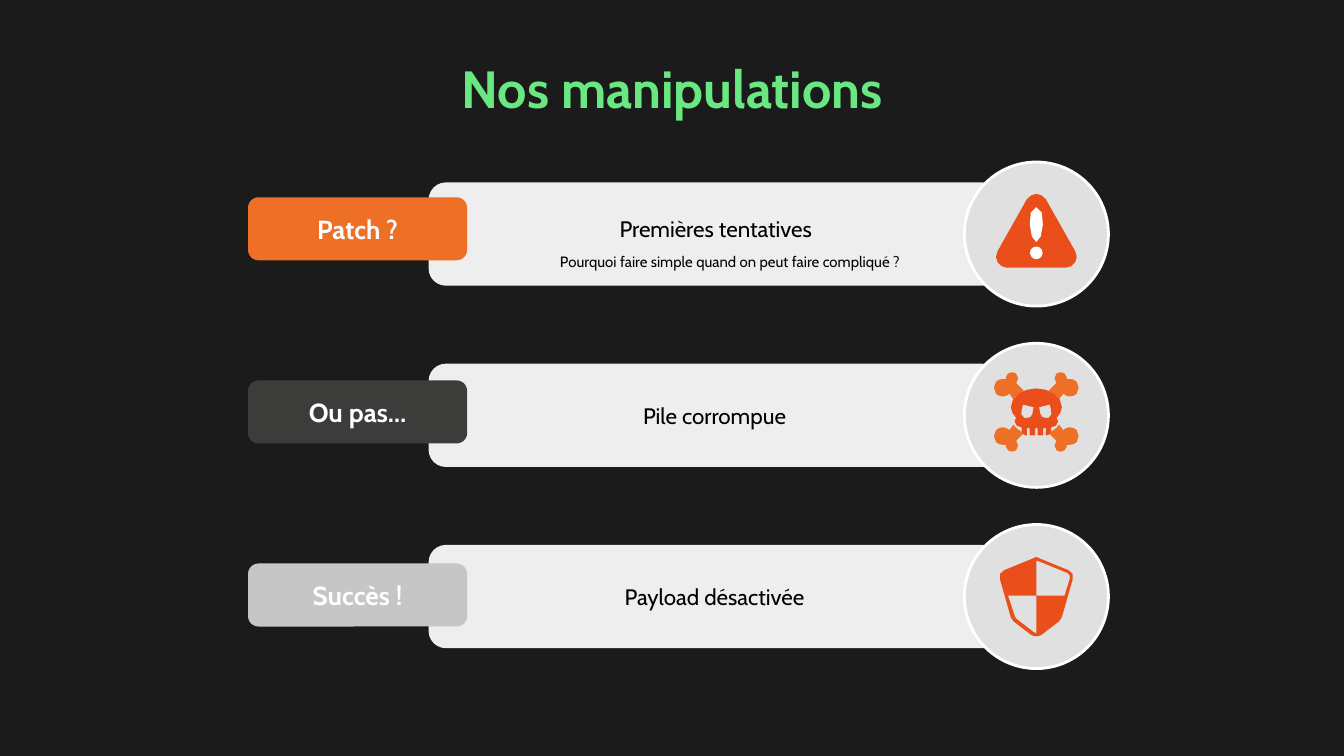
from math import dist

from pptx import Presentation
from pptx.dml.color import RGBColor
from pptx.enum.shapes import MSO_SHAPE
from pptx.enum.text import MSO_ANCHOR, PP_ALIGN
from pptx.util import Pt

COLOURS = {
    "background": "1B1B1B", "title": "69E781", "bar": "EEEEEE",
    "disc": "E0E0E0", "white": "FFFFFF", "black": "000000",
    "red": "E94E1B", "orange": "EE7026", "dark": "3C3C3B", "grey": "C6C6C6",
}
ICON_UNIT = 0.72  # points per unit of the icon outlines
DISC_X = 555.2

# Icon outlines around the disc centre; a "half" is the right side, top to bottom
WARNING_HALF = "M 0 -30 C 3 -30 5 -28 7 -26 L 29 13 C 32 18 28 25 22 25"
EXCLAMATION_HALF = "M 0 -20 C 8 -20 5 6 0 6"
SKULL_HALF = """M 0 -20 C 10 -20 19 -14 19 -6 C 19 -3 17 0 15 2
    C 16 3 16 4 16 5 C 16 7 14 9 11 9 L 11 11 C 11 13 10 15 8 15
    L 7 15 L 7 10 L 6 9 L 5 10 L 5 15 L 1 15 L 1 10 L 0 9"""
EYE = """M 10 -8 L 11 -4 C 12 -2 11 1 9 2 L 7 2
    C 5 2 3 1 3 -1 L 2 -6"""
BONE = """M 18 -29.5 C 16.8 -29.5 15.8 -29 15 -28.5 C 13 -26.5 13 -23.5 15 -21.5
    L 9 -15.5 C 12 -14.5 15 -12.5 17 -9.5 L 20 -13.5 C 22 -12 23 -11.5 25 -11.5
    C 27 -11.5 28 -12 30 -13.5 C 32 -16.5 32 -20 30 -22.5
    C 28 -24 27 -24.5 25 -24.5 L 22.8 -24.5 C 22.8 -26 22 -27.5 21 -28.5
    C 20 -29.2 19 -29.5 18 -29.5"""
SHIELD_HALF = """M 0 -30 L 2 -29 L 24 -20 C 27 -19 28 -16 27 -13
    L 19 15 L 17 18 L 4 28 C 3 29 1 29 0 29"""
SHIELD_TOP_FIELD = "M 0 -27 L 1 -27 L 23 -18 C 25 -17 25 -16 25 -14 L 21 -1 L 0 -1"
SHIELD_LOW_FIELD = "M 0 -1 L 0 27 L -2 26 L -15 16 L -16 14 L -21 -1"


def trace(outline):
    """Turn an outline of M, L and C commands into points, more on longer curves."""
    points, tokens = [], iter(outline.split())
    for command in tokens:
        count = 3 if command == "C" else 1
        ends = [(float(next(tokens)), float(next(tokens))) for _ in range(count)]
        if command != "C":
            points += ends
            continue
        corners = [points[-1]] + ends
        span = dist(corners[0], corners[-1])
        steps = 1 if span < 3 else 2 if span < 10 else 4
        for step in range(1, steps + 1):
            t = step / steps
            weights = ((1 - t) ** 3, 3 * t * (1 - t) ** 2, 3 * t * t * (1 - t), t ** 3)
            points.append(tuple(sum(w * c[axis] for w, c in zip(weights, corners))
                                for axis in (0, 1)))
    return points


def flip(points, x_sign, y_sign=1):
    return [(x * x_sign, y * y_sign) for x, y in points]


def symmetric(half):
    right = trace(half)
    left = [point for point in flip(right, -1) if point[0]]
    return right + left[::-1]


class SlideBuilder:
    font = "Cabin"

    def __init__(self, slide):
        self.slide = slide
        self.shapes = slide.shapes

    def colour(self, name):
        return RGBColor.from_string(COLOURS[name])

    def background(self, name):
        self.slide.background.fill.solid()
        self.slide.background.fill.fore_color.rgb = self.colour(name)

    def paint(self, shape, fill, line=None):
        shape.shadow.inherit = False
        shape.fill.solid()
        shape.fill.fore_color.rgb = self.colour(fill)
        if line:
            shape.line.color.rgb = self.colour(line)
            shape.line.width = Pt(1.5)
        else:
            shape.line.fill.background()

    def rounded(self, left, middle, width, height, fill):
        box = self.shapes.add_shape(MSO_SHAPE.ROUNDED_RECTANGLE, Pt(left),
                                    Pt(middle - height / 2), Pt(width), Pt(height))
        box.adjustments[0] = 0.167
        self.paint(box, fill)

    def circle(self, x, y, radius, fill, line=None):
        disc = self.shapes.add_shape(MSO_SHAPE.OVAL, Pt(x - radius), Pt(y - radius),
                                     Pt(2 * radius), Pt(2 * radius))
        self.paint(disc, fill, line)

    def icon(self, x, y, contours, fill):
        placed = [[(Pt(x + px * ICON_UNIT), Pt(y + py * ICON_UNIT)) for px, py in contour]
                  for contour in contours]
        builder = self.shapes.build_freeform(*placed[0][0])
        for index, contour in enumerate(placed):
            if index:
                builder.move_to(*contour[0])
            builder.add_line_segments(contour[1:], close=True)
        self.paint(builder.convert_to_shape(), fill)

    def text(self, words, left, middle, width, height, *, size, colour="black",
             bold=False, side_inset=14.4, anchor=MSO_ANCHOR.MIDDLE):
        box = self.shapes.add_textbox(Pt(left), Pt(middle - height / 2),
                                      Pt(width), Pt(height))
        frame = box.text_frame
        frame.word_wrap = True
        frame.vertical_anchor = anchor
        frame.margin_left = frame.margin_right = Pt(side_inset)
        frame.margin_top = frame.margin_bottom = Pt(7.2)
        paragraph = frame.paragraphs[0]
        paragraph.alignment = PP_ALIGN.CENTER
        run = paragraph.add_run()
        run.text = words
        run.font.name = self.font
        run.font.size = Pt(size)
        run.font.bold = bold
        run.font.color.rgb = self.colour(colour)


def draw_warning(page, y):
    page.icon(DISC_X, y, [symmetric(WARNING_HALF)], "red")
    page.circle(DISC_X, y + 10.1, 3.4, "white")
    page.icon(DISC_X, y, [symmetric(EXCLAMATION_HALF)], "white")


def draw_skull(page, y):
    for x_sign in (1, -1):
        for y_sign in (1, -1):
            page.icon(DISC_X, y - 1.8, [flip(trace(BONE), x_sign, y_sign)], "orange")
    eyes = [flip(trace(EYE), sign) for sign in (1, -1)]
    page.icon(DISC_X, y, [symmetric(SKULL_HALF)] + eyes, "red")


def draw_shield(page, y):
    fields = [trace(SHIELD_TOP_FIELD), trace(SHIELD_LOW_FIELD)]
    page.icon(DISC_X, y + 0.3, [symmetric(SHIELD_HALF)] + fields, "red")


def main():
    deck = Presentation()
    deck.slide_width, deck.slide_height = Pt(720), Pt(405)
    page = SlideBuilder(deck.slides.add_slide(deck.slide_layouts[6]))
    page.background("background")

    # Title
    page.text("Nos manipulations", 36, 45.7, 648, 45.4, size=28, colour="title",
              bold=True, side_inset=7.2, anchor=MSO_ANCHOR.TOP)

    # Rows: label, label colour, statement, its left and offset, icon
    rows = [
        ("Patch ?", "orange", "Premières tentatives", 259.3, -2.9, draw_warning),
        ("Ou pas…", "dark", "Pile corrompue", 258.6, 0.1, draw_skull),
        ("Succès !", "grey", "Payload désactivée", 258.6, 0.1, draw_shield),
    ]
    for index, (label, label_fill, statement, left, offset, draw_icon) in enumerate(rows):
        row_y = 125.4 + 97.1 * index
        label_y = 122.6 + 98.1 * index
        page.rounded(229.6, row_y, 306, 55.3, "bar")
        page.circle(DISC_X, row_y, 38.6, "disc", line="white")
        draw_icon(page, row_y)
        page.text(statement, left, row_y + offset, 248.4, 39.6, size=12)
        page.rounded(132.9, label_y, 117.4, 33.8, label_fill)
        page.text(label, 138, label_y, 107.2, 33.8, size=14, colour="white", bold=True)

    # Remark under the first statement
    page.text("Pourquoi faire simple quand on peut faire compliqué ?",
              267, 140, 248.4, 39.6, size=8)

    deck.save("out.pptx")


if __name__ == "__main__":
    main()
